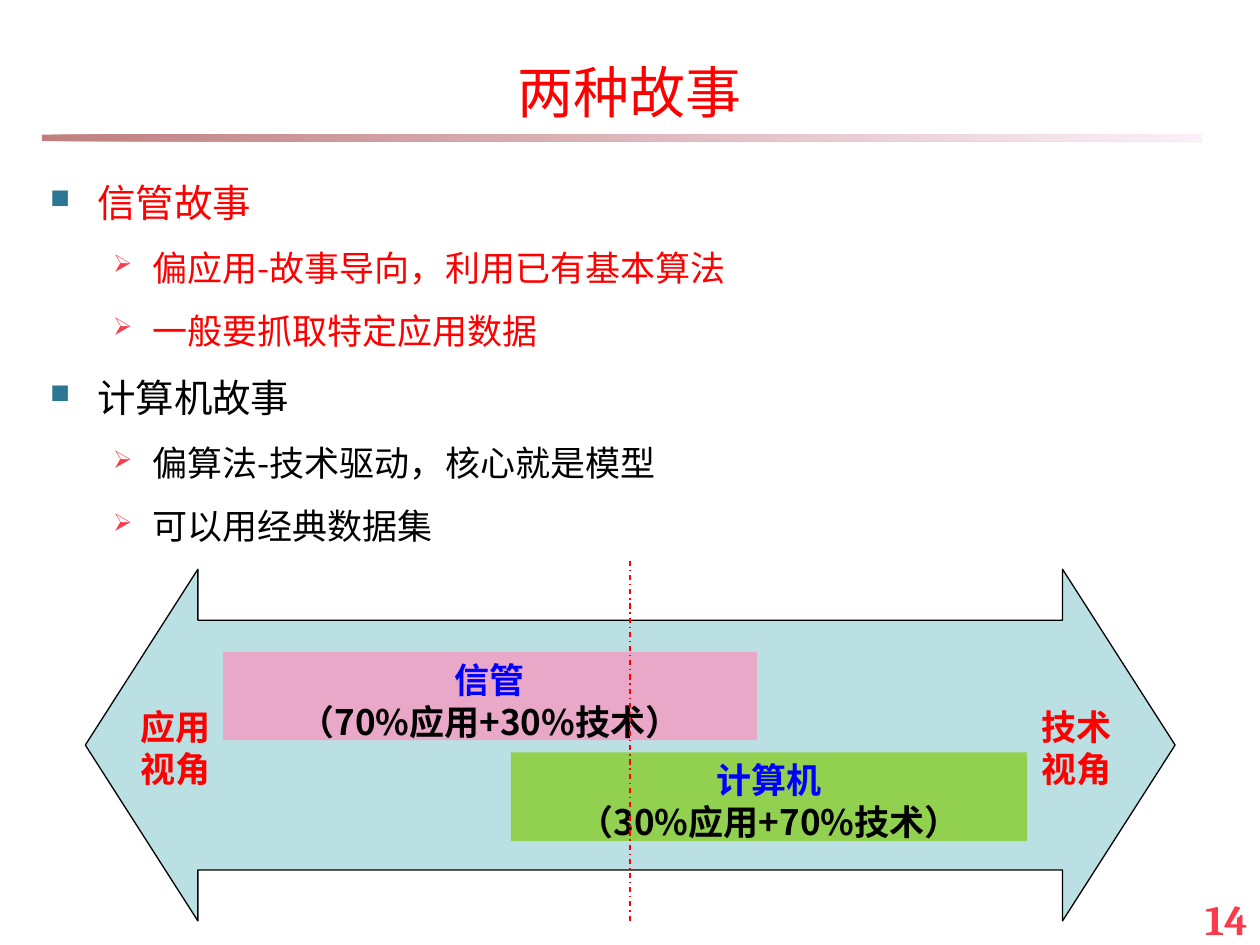
from lxml.etree import SubElement
from pptx import Presentation
from pptx.dml.color import RGBColor
from pptx.enum.dml import MSO_LINE
from pptx.enum.shapes import MSO_CONNECTOR, MSO_SHAPE
from pptx.enum.text import MSO_ANCHOR, PP_ALIGN
from pptx.oxml.ns import qn
from pptx.util import Pt

THEME = dict(
    red="FF0000", black="000000", blue="0000FF", accent="FC3A4C", square="2D7693",
    arrow="BBE0E3", pink="EAA8C9", green="92D050", rule=("800000", "FAE2F6"),
    cjk="Noto Sans CJK SC", label="Arial", number="Cambria",
    title_size=32, topic_size=22, text_size=20, number_size=24,
)
TITLE = "两种故事"
PAGE = "14"
STORIES = [
    ("信管故事", "red", ["偏应用-故事导向，利用已有基本算法", "一般要抓取特定应用数据"]),
    ("计算机故事", "black", ["偏算法-技术驱动，核心就是模型", "可以用经典数据集"]),
]
# lines, left
VIEWS = [(("技术", "视角"), 552), (("应用", "视角"), 37)]
# name, share, fill, left, top, width
BANDS = [
    ("信管", "（70%应用+30%技术）", "pink", 127.5, 372.5, 305),
    ("计算机", "（30%应用+70%技术）", "green", 292, 430, 295),
]
# bullet, bullet colour, left margin, hanging indent
BULLETS = [("■", "square", 27, -27), ("➢", "accent", 58.5, -22.5)]


def rgb(name):
    return RGBColor.from_string(THEME.get(name, name))


def box(at):
    return [Pt(v) for v in at]


def write(tf, text, size="text_size", color="black", font="cjk", bold=False,
          align=None, spacing=None, bullet=None, indent=None, first=False):
    """Write one paragraph into tf; first reuses the paragraph already there."""
    p = tf.paragraphs[0] if first else tf.add_paragraph()
    p.space_before = Pt(0)
    if align is not None:
        p.alignment = align
    if spacing:
        p.line_spacing = spacing
    pPr = p._p.get_or_add_pPr()
    if indent:
        pPr.set("marL", str(Pt(indent)))
    if bullet is not None:
        char, bullet_color, margin, hang = BULLETS[bullet]
        p.level = bullet
        pPr.set("marL", str(Pt(margin)))
        pPr.set("indent", str(Pt(hang)))
        clr = SubElement(pPr, qn("a:buClr"))
        SubElement(clr, qn("a:srgbClr"), val=THEME[bullet_color])
        SubElement(pPr, qn("a:buSzPct"), val="70000")
        SubElement(pPr, qn("a:buChar"), char=char)
    r = p.add_run()
    r.text = text
    f = r.font
    f.size, f.bold, f.name = Pt(THEME[size]), bold, THEME[font]
    f.color.rgb = rgb(color)
    SubElement(r._r.get_or_add_rPr(), qn("a:ea"), typeface=THEME["cjk"])


def add_shape(shapes, kind, at, fill=None, line=None):
    sp = shapes.add_shape(kind, *box(at))
    sp.shadow.inherit = False
    if fill:
        sp.fill.solid()
        sp.fill.fore_color.rgb = rgb(fill)
    if line:
        sp.line.color.rgb = rgb(line)
        sp.line.width = Pt(0.75)
    else:
        sp.line.fill.background()
    return sp


def add_text(shapes, at, wrap=True):
    tf = shapes.add_textbox(*box(at)).text_frame
    tf.word_wrap = wrap
    return tf


def add_title(s):
    sp = s.shapes.title
    sp.left, sp.top, sp.width, sp.height = box((0, 6, 720, 73))
    tf = sp.text_frame
    tf.vertical_anchor = MSO_ANCHOR.MIDDLE
    write(tf, TITLE, size="title_size", color="red", align=PP_ALIGN.CENTER,
          spacing=1.5, first=True)


def add_rule(s):
    sp = add_shape(s.shapes, MSO_SHAPE.RECTANGLE, (24, 77, 662.5, 3.75))
    sp.fill.gradient()
    sp.fill.gradient_angle = 0
    for stop, color, position in zip(sp.fill.gradient_stops, THEME["rule"], (0, 1)):
        stop.color.rgb = rgb(color)
        stop.position = position
    for clr in sp._element.spPr.iter(qn("a:srgbClr")):
        SubElement(clr, qn("a:alpha"), val="50000")


def add_stories(s):
    tf = add_text(s.shapes, (21.5, 85.5, 680, 425.5))
    for i, (topic, color, points) in enumerate(STORIES):
        write(tf, topic, size="topic_size", color=color, spacing=1.5, bullet=0, first=i == 0)
        for point in points:
            write(tf, point, color=color, spacing=1.5, bullet=1)


def add_spectrum(s):
    shapes = s.shapes.add_group_shape().shapes
    arrow = add_shape(shapes, MSO_SHAPE.LEFT_RIGHT_ARROW, (48.75, 325.25, 622.75, 201),
                      "arrow", "black")
    arrow.adjustments[0], arrow.adjustments[1] = 0.71, 0.32
    for lines, left in VIEWS:
        tf = add_text(shapes, (left, 399.75, 91.5, 50.5), wrap=False)
        for i, text in enumerate(lines):
            write(tf, text, color="red", font="label", bold=True, indent=36, first=i == 0)
    for name, share, fill, left, top, width in BANDS:
        tf = add_shape(shapes, MSO_SHAPE.RECTANGLE, (left, top, width, 50.5), fill).text_frame
        tf.word_wrap = True
        tf.vertical_anchor = MSO_ANCHOR.TOP
        write(tf, name, color="blue", font="label", bold=True, align=PP_ALIGN.CENTER, first=True)
        write(tf, share, bold=True, align=PP_ALIGN.CENTER)


def add_midline(s):
    c = s.shapes.add_connector(MSO_CONNECTOR.STRAIGHT, *box((360, 320.5, 360, 527)))
    c.line.color.rgb = rgb("red")
    c.line.width = Pt(0.75)
    c.line.dash_style = MSO_LINE.DASH_DOT
    SubElement(c._element.spPr, qn("a:effectLst"))


def main():
    prs = Presentation()
    prs.slide_width, prs.slide_height = Pt(720), Pt(540)
    s = prs.slides.add_slide(prs.slide_layouts[5])
    add_rule(s)
    write(add_text(s.shapes, (552, 507, 168, 31.5)), PAGE, size="number_size",
          color="accent", font="number", bold=True, align=PP_ALIGN.RIGHT, first=True)
    add_stories(s)
    add_title(s)
    add_spectrum(s)
    add_midline(s)
    prs.save("out.pptx")


if __name__ == "__main__":
    main()
